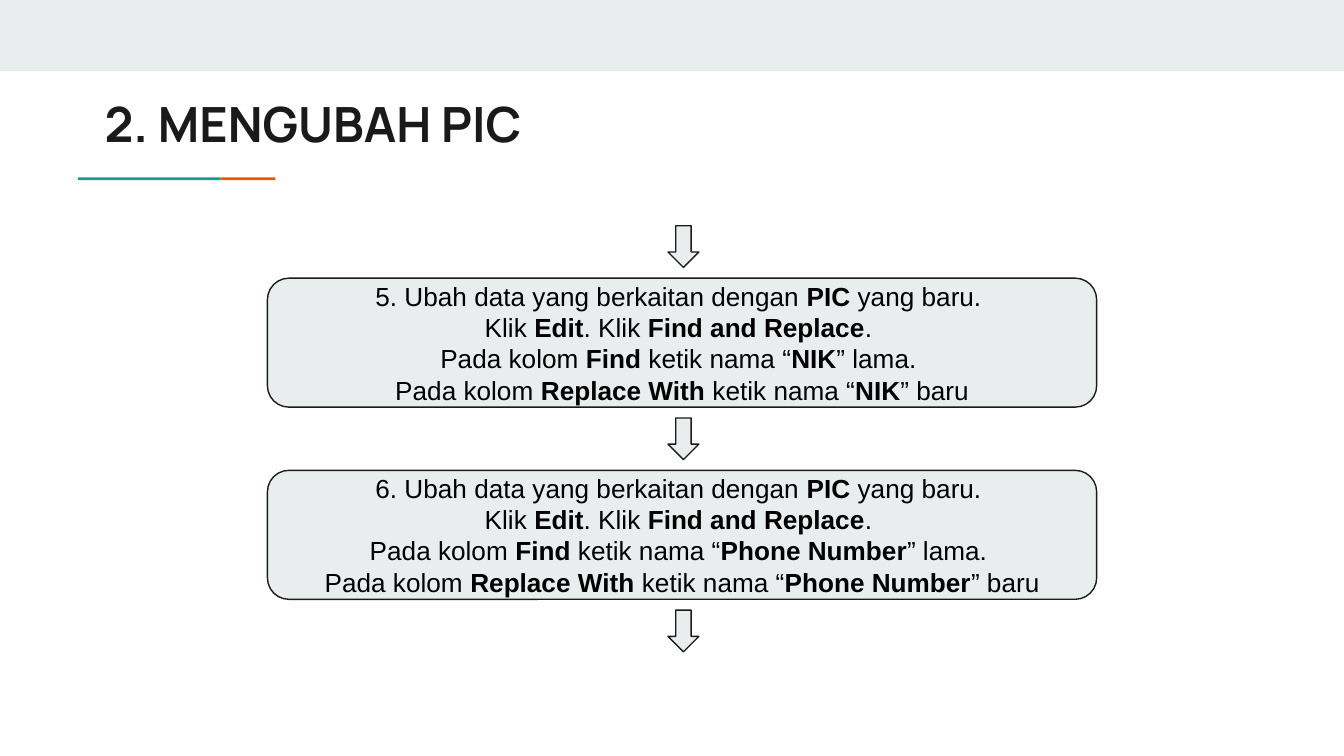
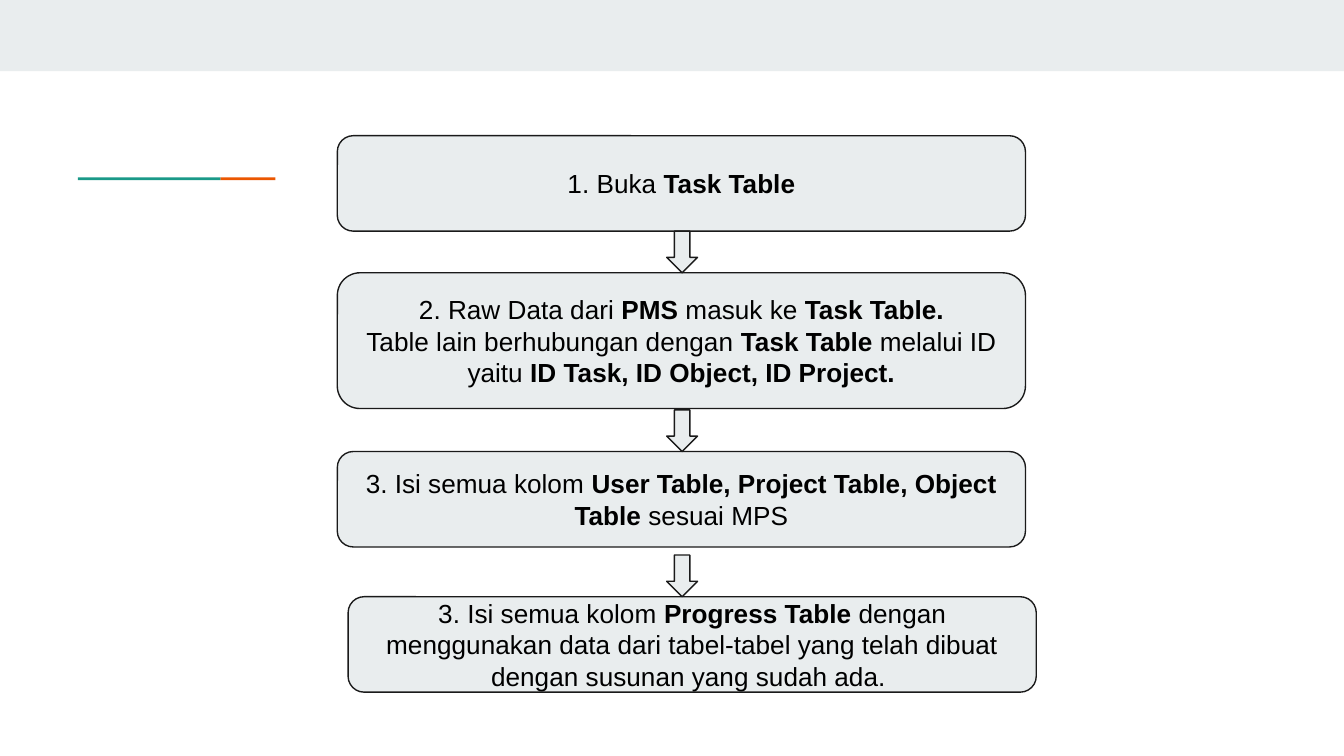
from pptx import Presentation
from pptx.dml.color import RGBColor
from pptx.enum.shapes import MSO_SHAPE as Shape
from pptx.enum.text import MSO_ANCHOR as Anchor, PP_ALIGN as Align
from pptx.util import Inches, Pt

COLORS = {
    "panel": "E9EDEE",
    "ink": "1A1A1A",
    "text": "000000",
    "teal": "1A9988",
    "orange": "EB5600",
}
TITLE_FONT, BODY_FONT = "Manrope", "Arial"
ARROW_LENGTH, ARROW_WIDTH = 0.31, 0.23

REPLACE_STEPS = [("5", "NIK"), ("6", "Phone Number")]
REPLACE_TOP, REPLACE_PITCH = 2.07, 1.43
REPLACE_ARROW_RISE = 0.35

# left, top, height, paragraphs; text between ** is bold
TABLE_STEPS = [
    (2.51, 1.01, 0.71, ["1. Buka **Task Table**"]),
    (2.51, 2.03, 1.01, [
        "2. Raw Data dari **PMS** masuk ke **Task Table.**",
        "Table lain berhubungan dengan **Task Table** melalui ID yaitu "
        "**ID Task, ID Object, ID Project.**",
    ]),
    (2.51, 3.36, 0.71, [
        "3. Isi semua kolom **User Table, Project Table, Object Table **sesuai MPS",
    ]),
    (2.59, 4.44, 0.71, [
        "3. Isi semua kolom **Progress Table **dengan menggunakan data dari "
        "tabel-tabel yang telah dibuat dengan susunan yang sudah ada. ",
    ]),
]


def color(name):
    return RGBColor.from_string(COLORS[name])


def add_block(slide, kind, left, top, width, height, fill, outlined=False):
    shape = slide.shapes.add_shape(
        kind, Inches(left), Inches(top), Inches(width), Inches(height))
    shape.shadow.inherit = False
    shape.fill.solid()
    shape.fill.fore_color.rgb = color(fill)
    if outlined:
        shape.line.color.rgb = color("ink")
        shape.line.width = Pt(0.75)
    else:
        shape.line.fill.background()
    return shape


def set_insets(frame):
    frame.margin_left = frame.margin_right = Inches(0.1)
    frame.margin_top = frame.margin_bottom = Inches(0.1)
    frame.word_wrap = True


def style_font(font, name, size, color_name):
    font.name = name
    font.size = Pt(size)
    font.color.rgb = color(color_name)


def add_themed_slide(presentation):
    """Add a blank slide with the top band and the two-colour accent rule."""
    slide = presentation.slides.add_slide(presentation.slide_layouts[6])
    add_block(slide, Shape.RECTANGLE, 0, 0, 10, 0.53, "panel")
    add_block(slide, Shape.RECTANGLE, 1.64, 1.32, 0.41, 0.02, "orange")
    add_block(slide, Shape.RECTANGLE, 0.58, 1.32, 1.06, 0.02, "teal")
    return slide


def add_title(slide, text):
    box = slide.shapes.add_textbox(
        Inches(0.68), Inches(0.6), Inches(8.41), Inches(0.59))
    set_insets(box.text_frame)
    paragraph = box.text_frame.paragraphs[0]
    paragraph.text = text
    style_font(paragraph.font, TITLE_FONT, 26, "ink")
    paragraph.font.bold = True


def add_step(slide, left, top, width, height, lines):
    """Add a rounded step box; every second part split at ** is bold."""
    shape = add_block(slide, Shape.ROUNDED_RECTANGLE,
                      left, top, width, height, "panel", outlined=True)
    frame = shape.text_frame
    set_insets(frame)
    frame.vertical_anchor = Anchor.MIDDLE
    for index, line in enumerate(lines):
        paragraph = frame.add_paragraph() if index else frame.paragraphs[0]
        paragraph.alignment = Align.CENTER
        style_font(paragraph.font, BODY_FONT, 14, "text")
        for part_index, part in enumerate(line.split("**")):
            if part:
                run = paragraph.add_run()
                run.text = part
                run.font.bold = part_index % 2 == 1


def add_down_arrow(slide, left, top):
    arrow = add_block(slide, Shape.RIGHT_ARROW, left, top,
                      ARROW_LENGTH, ARROW_WIDTH, "panel", outlined=True)
    arrow.rotation = 90


def build_replace_slide(presentation):
    slide = add_themed_slide(presentation)
    add_title(slide, "2. MENGUBAH PIC")
    for index, (number, field) in enumerate(REPLACE_STEPS):
        add_step(slide, 1.99, REPLACE_TOP + index * REPLACE_PITCH, 6.17, 0.96, [
            f"{number}. Ubah data yang berkaitan dengan **PIC **yang baru. ",
            "Klik **Edit**. Klik **Find and Replace**. ",
            f"Pada kolom **Find** ketik nama “**{field}**” lama. ",
            f"Pada kolom **Replace With** ketik nama “**{field}**” baru",
        ])
    for index in range(len(REPLACE_STEPS) + 1):
        step_top = REPLACE_TOP + index * REPLACE_PITCH
        add_down_arrow(slide, 4.93, step_top - REPLACE_ARROW_RISE)


def build_table_slide(presentation):
    slide = add_themed_slide(presentation)
    for index, (left, top, height, lines) in enumerate(TABLE_STEPS):
        add_step(slide, left, top, 5.12, height, lines)
        if index:
            # The arrow tip touches the top of the step it leads to.
            add_down_arrow(slide, 4.92, top - (ARROW_LENGTH + ARROW_WIDTH) / 2)


def main():
    presentation = Presentation()
    presentation.slide_width = Inches(10)
    presentation.slide_height = presentation.slide_width * 9 // 16
    build_replace_slide(presentation)
    build_table_slide(presentation)
    presentation.save("out.pptx")


if __name__ == "__main__":
    main()
